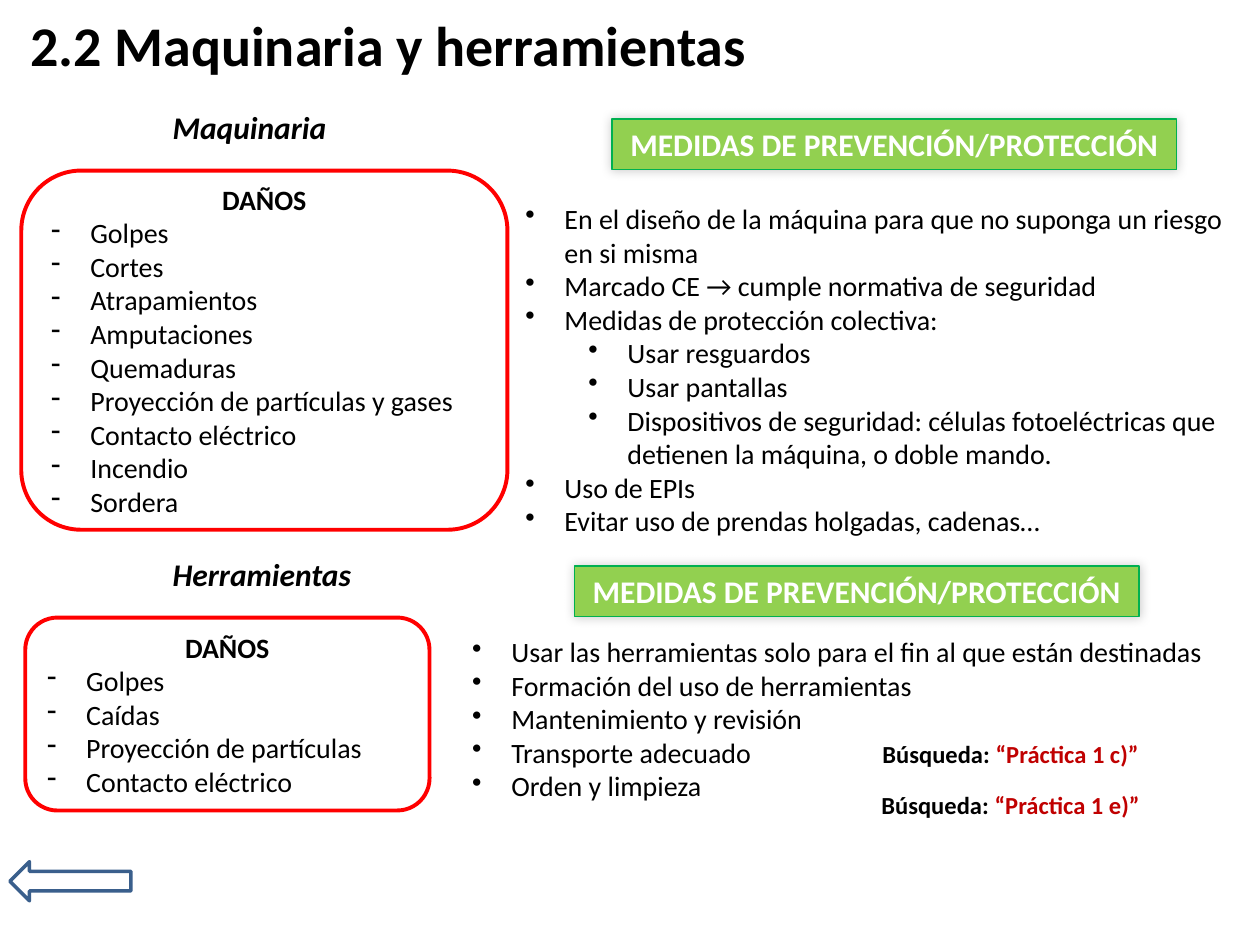
import pptx
import pptx.dml.color
import pptx.enum.shapes
import pptx.enum.text
import pptx.oxml
import pptx.oxml.ns
import pptx.util
import lxml.etree

Cm = pptx.util.Cm
Pt = pptx.util.Pt
SHAPE = pptx.enum.shapes.MSO_SHAPE
ANCHOR = pptx.enum.text.MSO_ANCHOR
CENTER = pptx.enum.text.PP_ALIGN.CENTER
FIT = pptx.enum.text.MSO_AUTO_SIZE.SHAPE_TO_FIT_TEXT

BODY = {"size": Pt(16), "bold": False}
DAMAGE_TITLE = {"size": Pt(16), "bold": True}
HEADING = {"size": Pt(18), "bold": True, "italic": True}
BANNER = {"size": Pt(18), "bold": True}
TITLE = {"size": Pt(32), "bold": True}
SEARCH = {"size": Pt(14), "bold": True}

MACHINERY = {
    "heading": "Maquinaria",
    "damages": ["Golpes", "Cortes", "Atrapamientos", "Amputaciones", "Quemaduras",
                "Proyección de partículas y gases", "Contacto eléctrico",
                "Incendio", "Sordera"],
    "measures": [
        (0, "En el diseño de la máquina para que no suponga un riesgo en si misma"),
        (0, "Marcado CE → cumple normativa de seguridad"),
        (0, "Medidas de protección colectiva:"),
        (1, "Usar resguardos"),
        (1, "Usar pantallas"),
        (1, "Dispositivos de seguridad: células fotoeléctricas que detienen "
            "la máquina, o doble mando."),
        (0, "Uso de EPIs"),
        (0, "Evitar uso de prendas holgadas, cadenas…"),
    ],
}
TOOLS = {
    "heading": "Herramientas",
    "damages": ["Golpes", "Caídas", "Proyección de partículas", "Contacto eléctrico"],
    "measures": [
        (0, "Usar las herramientas solo para el fin al que están destinadas"),
        (0, "Formación del uso de herramientas"),
        (0, "Mantenimiento y revisión"),
        (0, "Transporte adecuado"),
        (0, "Orden y limpieza"),
    ],
}


def rgb(value):
    return pptx.dml.color.RGBColor.from_string(value)


def write(paragraph, text, style, color="000000"):
    run = paragraph.add_run()
    run.text = text
    for name, value in {"name": "Calibri", **style}.items():
        setattr(run.font, name, value)
    run.font.color.rgb = rgb(color)


def write_item(paragraph, text, mark, level=0):
    """Write a bulleted line with a hanging indent."""
    paragraph.level = level
    properties = paragraph._p.get_or_add_pPr()
    properties.set("marL", str(Cm(0.79 + 1.27 * level)))
    properties.set("indent", str(-Cm(0.79)))
    bullet = lxml.etree.SubElement(properties, pptx.oxml.ns.qn("a:buChar"))
    bullet.set("char", mark)
    write(paragraph, text, BODY)


def add_text_frame(slide, box, **settings):
    frame = slide.shapes.add_textbox(*map(Cm, box)).text_frame
    for name, value in {"word_wrap": True, "auto_size": FIT, **settings}.items():
        setattr(frame, name, value)
    return frame


def add_outline(slide, preset, box, line, width, fill=None):
    shape = slide.shapes.add_shape(preset, *map(Cm, box))
    shape.shadow.inherit = False
    if fill:
        shape.fill.solid()
        shape.fill.fore_color.rgb = rgb(fill)
    else:
        shape.fill.background()
    shape.line.color.rgb = rgb(line)
    shape.line.width = Pt(width)
    return shape


def add_soft_shadow(shape):
    effects = shape._element.spPr.find(pptx.oxml.ns.qn("a:effectLst"))
    effects.append(pptx.oxml.parse_xml(
        f'<a:outerShdw {pptx.oxml.ns.nsdecls("a")} blurRad="{Pt(6)}" dist="0" '
        'dir="13500000" algn="br" rotWithShape="0"><a:srgbClr val="000000">'
        '<a:alpha val="20000"/></a:srgbClr></a:outerShdw>'))


def add_banner(slide, left, top):
    banner = add_outline(slide, SHAPE.RECTANGLE, (left, top, 11.38, 1.02),
                         "00B050", 0.75, "92D050")
    add_soft_shadow(banner)
    frame = banner.text_frame
    frame.word_wrap = True
    frame.auto_size = FIT
    frame.vertical_anchor = ANCHOR.TOP
    frame.paragraphs[0].alignment = CENTER
    write(frame.paragraphs[0], "MEDIDAS DE PREVENCIÓN/PROTECCIÓN", BANNER, "FFFFFF")


def add_damages(slide, box, damages):
    frame = add_outline(slide, SHAPE.ROUNDED_RECTANGLE, box, "FF0000", 2.25).text_frame
    frame.word_wrap = True
    frame.vertical_anchor = ANCHOR.MIDDLE
    frame.paragraphs[0].alignment = CENTER
    write(frame.paragraphs[0], "DAÑOS", DAMAGE_TITLE)
    for damage in damages:
        paragraph = frame.add_paragraph()
        paragraph.alignment = pptx.enum.text.PP_ALIGN.LEFT
        write_item(paragraph, damage, "-")


def add_measures(slide, box, measures):
    frame = add_text_frame(slide, box)
    for index, (level, measure) in enumerate(measures):
        paragraph = frame.add_paragraph() if index else frame.paragraphs[0]
        write_item(paragraph, measure, "•", level)


def add_section(slide, top, content, damages_box, banner_left, measures_box):
    """Place one topic; the tops inside the boxes count from the section top."""
    def lower(box):
        left, offset, width, height = box
        return left, top + offset, width, height

    heading = add_text_frame(slide, lower((3.23, 0, 4.19, 1.02)))
    write(heading.paragraphs[0], content["heading"], HEADING)
    add_banner(slide, banner_left, top + 0.34)
    add_damages(slide, lower(damages_box), content["damages"])
    add_measures(slide, lower(measures_box), content["measures"])


def add_searches(slide, left, top):
    for index, practice in enumerate(("c", "e")):
        frame = add_text_frame(slide, (left, top + 1.02 * index, 7.7, 0.86))
        paragraph = frame.paragraphs[0]
        paragraph.alignment = CENTER
        write(paragraph, "Búsqueda:", SEARCH)
        write(paragraph, f" “Práctica 1 {practice})” ", SEARCH, "C00000")


def main():
    deck = pptx.Presentation()
    deck.slide_width, deck.slide_height = Cm(25.4), Cm(19.05)
    slide = deck.slides.add_slide(deck.slide_layouts[6])

    title = add_text_frame(slide, (0.36, 0.08, 25.04, 1.6), vertical_anchor=ANCHOR.MIDDLE,
                           auto_size=pptx.enum.text.MSO_AUTO_SIZE.NONE)
    write(title.paragraphs[0], "2.2 Maquinaria y herramientas", TITLE)
    add_section(slide, 2.06, MACHINERY, (0.43, 1.38, 9.8, 7.24), 12.34,
                (10.34, 1.88, 15.06, 7.09))
    add_section(slide, 11.07, TOOLS, (0.51, 1.38, 8.15, 3.89), 11.58,
                (9.27, 1.6, 15.98, 3.68))
    add_searches(slide, 16.58, 14.78)
    add_outline(slide, SHAPE.LEFT_ARROW, (0.2, 17.37, 2.44, 0.79), "3A5F8C", 2)
    deck.save("out.pptx")


if __name__ == "__main__":
    main()
